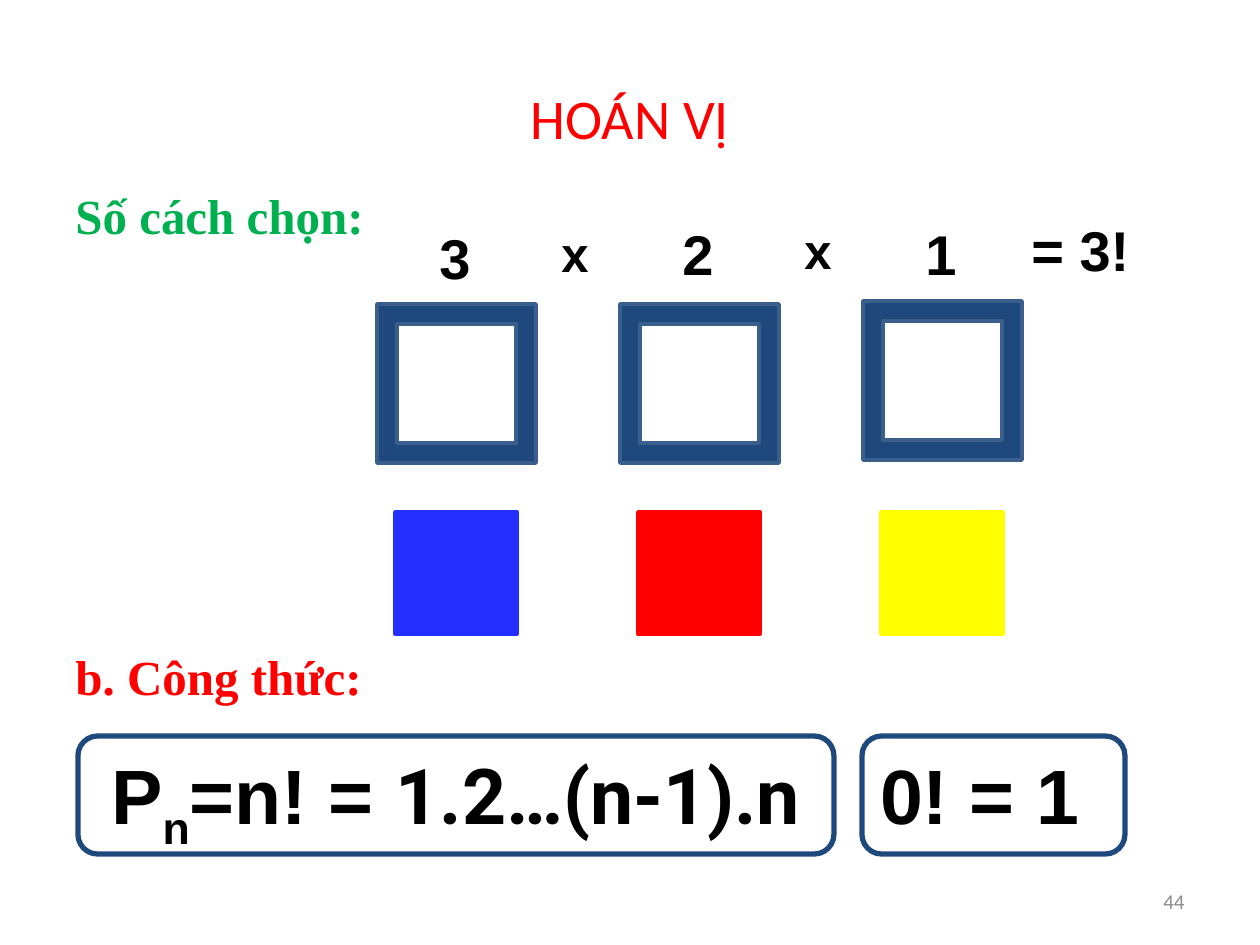
from pptx import Presentation
from pptx import util as u
from pptx.dml.color import RGBColor
from pptx.enum import shapes, text

PX = 914400 / 126
ALIGN = text.PP_ALIGN
ANCHOR = text.MSO_ANCHOR
SHAPE = shapes.MSO_SHAPE
COLUMN_LEFT, COLUMN_PITCH = 377, 243


def px(*lengths):
    return [round(length * PX) for length in lengths]


def color(hex_value):
    return RGBColor.from_string(hex_value)


class SlideBuilder:
    def __init__(self, slide):
        self.slide = slide
        self.style = {"name": "Arial", "bold": True, "size": 32, "color": "000000"}

    def add_runs(self, frame, runs, align=ALIGN.LEFT, anchor=ANCHOR.TOP, **style):
        """Fill a text frame; runs is a string or (string, style changes) pairs."""
        frame.word_wrap = True
        frame.vertical_anchor = anchor
        paragraph = frame.paragraphs[0]
        paragraph.alignment = align
        for words, changes in [(runs, {})] if isinstance(runs, str) else runs:
            run = paragraph.add_run()
            run.text = words
            values = {**self.style, **style, **changes}
            run.font.color.rgb = color(values.pop("color"))
            run.font.size = u.Pt(values.pop("size"))
            baseline = values.pop("baseline", None)
            if baseline:
                run.font._element.set("baseline", str(baseline))
            for key, value in values.items():
                setattr(run.font, key, value)

    def title(self, words, box, **style):
        title = self.slide.shapes.title
        for key, value in zip(("left", "top", "width", "height"), px(*box)):
            setattr(title, key, value)
        self.add_runs(title.text_frame, words, ALIGN.CENTER, ANCHOR.MIDDLE, **style)

    def label(self, words, box, **style):
        label = self.slide.shapes.add_textbox(*px(*box))
        self.add_runs(label.text_frame, words, **style)

    def shape(self, kind, box, fill, line, width=2):
        shape = self.slide.shapes.add_shape(kind, *px(*box))
        shape.shadow.inherit = False
        shape.fill.solid()
        shape.fill.fore_color.rgb = color(fill)
        shape.line.color.rgb = color(line)
        shape.line.width = u.Pt(width)
        return shape

    def formula(self, runs, box, align):
        panel = self.shape(SHAPE.ROUNDED_RECTANGLE, box, "FFFFFF", "1F497D", 3)
        self.add_runs(panel.text_frame, runs, align, size=44)


def main():
    deck = Presentation()
    deck.slide_width, deck.slide_height = px(1260, 945)
    page = SlideBuilder(deck.slides.add_slide(deck.slide_layouts[5]))

    page.title("HOÁN VỊ", (63, 38, 1134, 158), name="Calibri", bold=False, color="FF0000")
    page.label("44", (903, 876, 294, 50), align=ALIGN.RIGHT, anchor=ANCHOR.MIDDLE,
               name="Calibri", bold=False, size=12, color="8C8C8C")

    heading = {"name": "Times New Roman", "size": 28}
    page.label("Số cách chọn:", (63, 179, 362, 72), color="00B050", **heading)
    page.label("b. Công thức:", (63, 640, 383, 72), color="FF0000", **heading)

    # Each column: choices left, its top, frame top, colour of the object
    choices = [("3", 179, 304, "252FFF"), ("2", 175, 304, "FF0000"), ("1", 175, 301, "FFFF00")]
    for column, (count, count_top, frame_top, object_color) in enumerate(choices):
        left = COLUMN_LEFT + column * COLUMN_PITCH
        page.shape(SHAPE.FRAME, (left, frame_top, 159, 159), "1F497D", "3A5F8C")
        page.shape(SHAPE.RECTANGLE, (left + 18, 512, 122, 122), object_color, object_color)
        page.label(count, (left + 50, count_top, 58, 118), anchor=ANCHOR.BOTTOM)

    for column, times_top in enumerate((217, 214)):
        times_left = COLUMN_LEFT + column * COLUMN_PITCH + 172
        page.label("x", (times_left, times_top, 48, 72), size=28)
    page.label("= 3!", (1019, 209, 186, 81))

    permutations = [("P", {}), ("n", {"baseline": -25000}), ("=n! = ", {}),
                    ("1.2…(n-1).n", {"name": "Roboto"})]
    page.formula(permutations, (78, 736, 756, 118), ALIGN.CENTER)
    page.formula("0! = 1", (862, 736, 263, 118), ALIGN.LEFT)

    deck.save("out.pptx")


if __name__ == "__main__":
    main()
